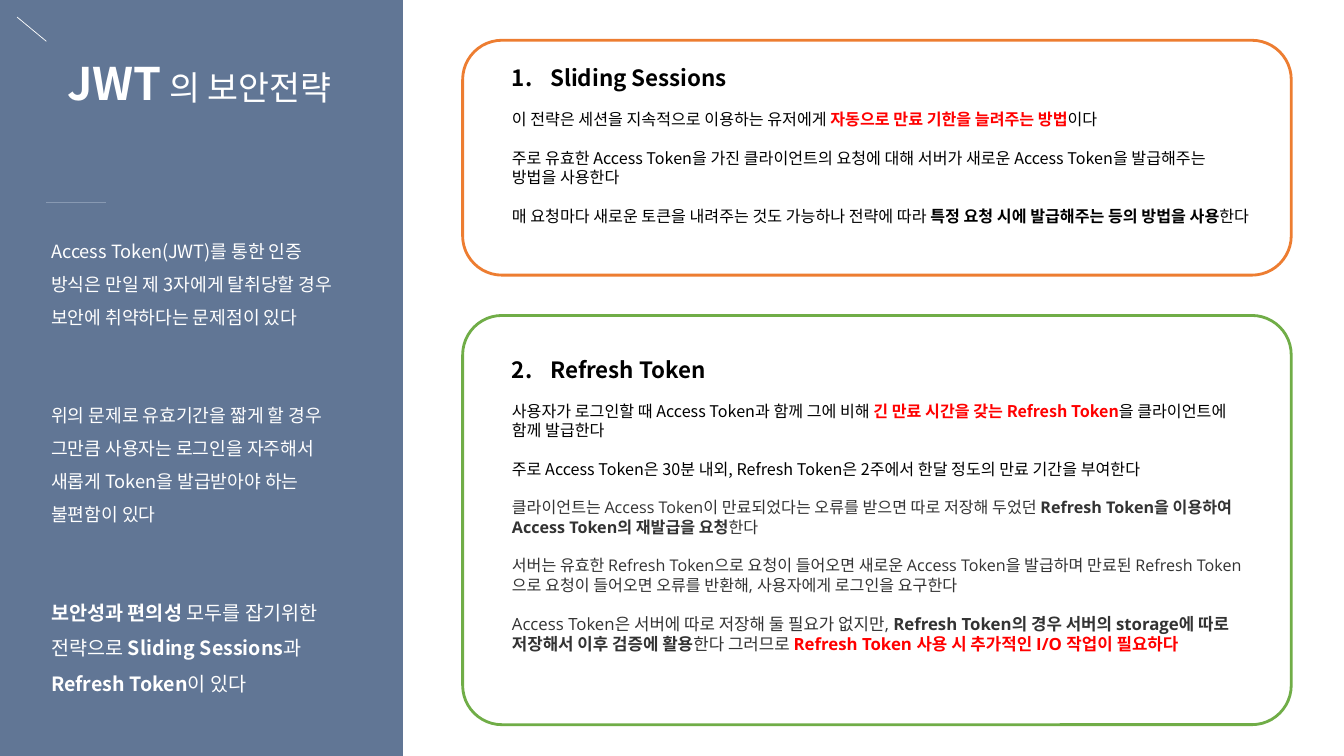
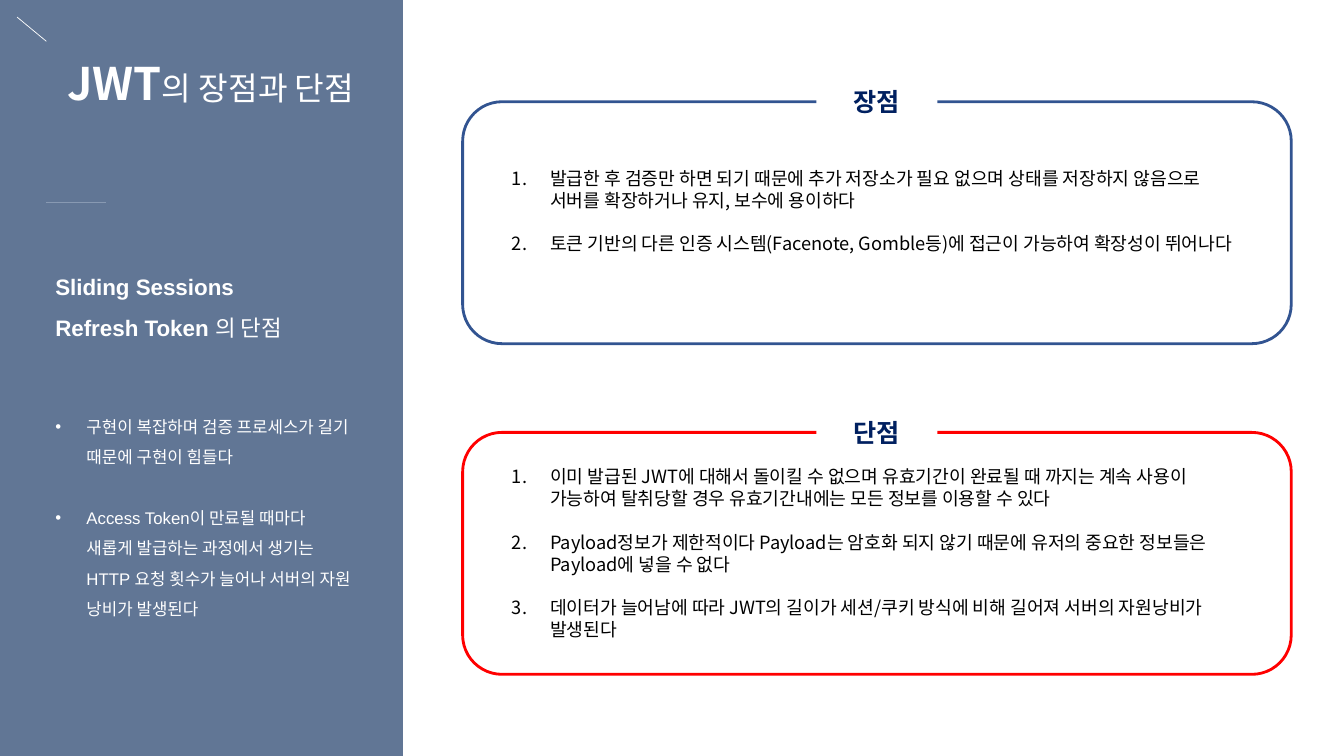
from dataclasses import dataclass, replace

from lxml import etree
from pptx import Presentation
from pptx.dml.color import RGBColor
from pptx.enum.shapes import MSO_CONNECTOR, MSO_SHAPE
from pptx.enum.text import MSO_ANCHOR, PP_ALIGN
from pptx.oxml.ns import qn
from pptx.util import Inches, Pt

RECTANGLE = MSO_SHAPE.RECTANGLE
ROUNDED = MSO_SHAPE.ROUNDED_RECTANGLE
STRAIGHT = MSO_CONNECTOR.STRAIGHT
CENTER = PP_ALIGN.CENTER
MIDDLE = MSO_ANCHOR.MIDDLE

WIDTH, HEIGHT = Inches(13.33), Inches(7.5)
COLUMNS, ROWS = 40, 30
PANEL_LEFT = 12
FRAME_LEFT, FRAME_WIDTH = 13.77, 24.66
BODY_LEFT = 14.94
ASIDE_WIDTH = 9.48
CORNER_ROWS = 1.56
LINE_HEIGHT = 1.2

COLORS = {
    "band": "617695", "rule": "8899B2", "white": "FFFFFF", "black": "000000",
    "gray": "333333", "red": "FF0000", "orange": "ED7D31", "green": "70AD47",
    "blue": "325491", "navy": "002060",
}
KOREAN = "Noto Sans CJK KR"


@dataclass(frozen=True)
class Style:
    size: float
    color: str = "black"
    bold: bool = False
    font: str = KOREAN


@dataclass(frozen=True)
class Line:
    spans: tuple
    gap: float = 0
    bullet: str = ""
    start: int = 1
    indent: float = 0.38
    spacing: float = 1


HEADING = Style(16, bold=True)
BODY = Style(11.5)
BODY_BOLD = replace(BODY, bold=True)
BODY_RED = replace(BODY_BOLD, color="red")
NOTE = replace(BODY, font="Open Sans", color="gray")
NOTE_BOLD = replace(NOTE, bold=True)
LAST = replace(NOTE, size=12)
LAST_BOLD = replace(LAST, bold=True)
LAST_RED = replace(LAST_BOLD, color="red")
ITEM = Style(13)
LABEL = Style(18, "navy", True)
TITLE = Style(32, "white", True)
ASIDE = Style(13, "white")
CLOSING = Style(14, "white")
CLOSING_BOLD = replace(CLOSING, bold=True)
DRAWBACK = Style(16, "white", font="Arial")
DRAWBACK_BOLD = replace(DRAWBACK, bold=True)
DRAWBACK_ITEM = replace(DRAWBACK, size=12)


def across(columns):
    return round(WIDTH * columns / COLUMNS)


def down(rows):
    return round(HEIGHT * rows / ROWS)


def place(left, top, width, height):
    return across(left), down(top), across(width), down(height)


def rgb(name):
    return RGBColor.from_string(COLORS[name])


def format_span(span, style):
    span.font.size = Pt(style.size)
    span.font.bold = style.bold
    span.font.name = style.font
    span.font.color.rgb = rgb(style.color)
    etree.SubElement(span.font._element, qn("a:ea"), typeface=KOREAN)


def add_bullet(para, line):
    properties = para._p.get_or_add_pPr()
    properties.set("marL", str(Inches(line.indent)))
    properties.set("indent", str(-Inches(line.indent)))
    if line.bullet == "number":
        etree.SubElement(properties, qn("a:buFont"), typeface="+mj-lt")
        number = etree.SubElement(properties, qn("a:buAutoNum"), type="arabicPeriod")
        if line.start > 1:
            number.set("startAt", str(line.start))
    else:
        etree.SubElement(properties, qn("a:buFont"), typeface="Arial")
        etree.SubElement(properties, qn("a:buChar"), char=line.bullet)


def write(box, lines):
    frame = box.text_frame
    frame.word_wrap = True
    for index, line in enumerate(lines):
        para = frame.add_paragraph() if index else frame.paragraphs[0]
        largest = max(style.size for _, style in line.spans)
        para.line_spacing = Pt(round(largest * LINE_HEIGHT * line.spacing, 1))
        para.space_before = Pt(line.gap)
        if line.bullet:
            add_bullet(para, line)
        for text, style in line.spans:
            span = para.add_run()
            span.text = text
            format_span(span, style)


def add_text(page, left, top, width, height, lines):
    write(page.shapes.add_textbox(*place(left, top, width, height)), lines)


def add_block(page, left, top, width, height):
    block = page.shapes.add_shape(RECTANGLE, *place(left, top, width, height))
    block.shadow.inherit = False
    block.fill.solid()
    block.fill.fore_color.rgb = rgb("white")
    block.line.fill.background()
    return block


def add_rule(page, left, top, right, bottom, color):
    rule = page.shapes.add_connector(
        STRAIGHT, across(left), down(top), across(right), down(bottom))
    rule.line.color.rgb = rgb(color)
    rule.line.width = Pt(0.5)
    etree.SubElement(rule._element.spPr, qn("a:effectLst"))


def add_frame(page, top, height, color):
    frame = page.shapes.add_shape(
        ROUNDED, *place(FRAME_LEFT, top, FRAME_WIDTH, height))
    frame.shadow.inherit = False
    frame.adjustments[0] = CORNER_ROWS / height
    frame.fill.background()
    frame.line.color.rgb = rgb(color)
    frame.line.width = Pt(2)


def add_label(page, frame_top, text):
    width, height = 3.6, 1.6
    left = FRAME_LEFT + (FRAME_WIDTH - width) / 2
    label = add_block(page, left, frame_top - height / 2, width, height)
    write(label, [Line(((text, LABEL),))])
    label.text_frame.vertical_anchor = MIDDLE
    label.text_frame.paragraphs[0].alignment = CENTER


def add_page(deck, subject, size):
    page = deck.slides.add_slide(deck.slide_layouts[6])
    page.background.fill.solid()
    page.background.fill.fore_color.rgb = rgb("band")
    add_block(page, PANEL_LEFT, 0, COLUMNS - PANEL_LEFT, ROWS)
    add_rule(page, 0.51, 0.68, 1.38, 1.64, "white")
    add_rule(page, 1.38, 8.04, 3.15, 8.04, "rule")
    rest = replace(TITLE, size=size, bold=False)
    add_text(page, 1.71, 2, 9.84, 2.56, [Line((("JWT", TITLE), (subject, rest)))])
    return page


def numbered(items):
    return [Line(((text, ITEM),), gap=15.6 if index else 0, bullet="number")
            for index, text in enumerate(items)]


def add_strategies(deck):
    page = add_page(deck, " 의 보안전략", 24)
    add_text(page, 1.23, 8.92, ASIDE_WIDTH, 18.92, [
        Line((("Access Token(JWT)를 통한 인증 방식은 만일 제 3자에게 탈취당할 경우 "
               "보안에 취약하다는 문제점이 있다", ASIDE),), spacing=1.5),
        Line((("위의 문제로 유효기간을 짧게 할 경우 그만큼 사용자는 로그인을 자주해서 "
               "새롭게 Token을 발급받아야 하는 불편함이 있다", ASIDE),), gap=47, spacing=1.5),
        Line((("보안성과 편의성 ", CLOSING_BOLD), ("모두를 잡기위한 전략으로 ", CLOSING),
              ("Sliding Sessions", CLOSING_BOLD), ("과 ", CLOSING),
              ("Refresh Token", CLOSING_BOLD), ("이 있다", CLOSING)), gap=46, spacing=1.5),
    ])
    add_frame(page, 1.6, 9.32, "orange")
    add_text(page, BODY_LEFT, 2.36, 22.62, 7.64, [
        Line((("Sliding Sessions", HEADING),), bullet="number"),
        Line((("이 전략은 세션을 지속적으로 이용하는 유저에게 ", BODY),
              ("자동으로 만료 기한을 늘려주는 방법", BODY_RED), ("이다", BODY)), gap=13.2),
        Line((("주로 유효한 Access Token을 가진 클라이언트의 요청에 대해 서버가 새로운 "
               "Access Token을 발급해주는 방법을 사용한다", BODY),), gap=13.8),
        Line((("매 요청마다 새로운 토큰을 내려주는 것도 가능하나 전략에 따라 ", BODY),
              ("특정 요청 시에 발급해주는 등의 방법을 사용", BODY_BOLD), ("한다", BODY)), gap=13.8),
    ])
    add_frame(page, 12.52, 16.24, "green")
    add_text(page, BODY_LEFT, 13.92, 22.62, 13.24, [
        Line((("Refresh Token", HEADING),), bullet="number", start=2),
        Line((("사용자가 로그인할 때 Access Token과 함께 그에 비해 ", BODY),
              ("긴 만료 시간을 갖는 Refresh Token", BODY_RED),
              ("을 클라이언트에 함께 발급한다", BODY)), gap=13.2),
        Line((("주로 Access Token은 30분 내외, Refresh Token은 2주에서 한달 정도의 "
               "만료 기간을 부여한다", BODY),), gap=13.8),
        Line((("클라이언트는 Access Token이 만료되었다는 오류를 받으면 따로 저장해 두었던 ", NOTE),
              ("Refresh Token을 이용하여 Access Token의 재발급을 요청", NOTE_BOLD),
              ("한다", NOTE)), gap=13.8),
        Line((("서버는 유효한 Refresh Token으로 요청이 들어오면 새로운 Access Token을 "
               "발급하며 만료된 Refresh Token으로 요청이 들어오면 오류를 반환해, "
               "사용자에게 로그인을 요구한다", NOTE),), gap=13.8),
        Line((("Access Token은 서버에 따로 저장해 둘 필요가 없지만, ", LAST),
              ("Refresh Token의 경우 서버의 storage에 따로 저장해서 이후 검증에 활용", LAST_BOLD),
              ("한다 그러므로 ", LAST),
              ("Refresh Token 사용 시 추가적인 I/O 작업이 필요하다", LAST_RED)), gap=13.8),
    ])


def add_pros_and_cons(deck):
    page = add_page(deck, "의 장점과 단점", 23)
    add_text(page, 1.35, 10.12, ASIDE_WIDTH, 14.6, [
        Line((("Sliding Sessions", DRAWBACK_BOLD),), spacing=1.5),
        Line((("Refresh Token ", DRAWBACK_BOLD), ("의 단점", DRAWBACK)), spacing=1.5),
        Line((("구현이 복잡하며 검증 프로세스가 길기 때문에 구현이 힘들다", DRAWBACK_ITEM),),
             gap=47, bullet="•", indent=0.31, spacing=1.5),
        Line((("Access Token이 만료될 때마다 새롭게 발급하는 과정에서 생기는 HTTP 요청 "
               "횟수가 늘어나 서버의 자원 낭비가 발생된다", DRAWBACK_ITEM),),
             gap=22, bullet="•", indent=0.31, spacing=1.5),
    ])
    sections = [
        ("장점", "blue", 4.04, 6.44, 4.76, [
            "발급한 후 검증만 하면 되기 때문에 추가 저장소가 필요 없으며 상태를 저장하지 "
            "않음으로 서버를 확장하거나 유지, 보수에 용이하다",
            "토큰 기반의 다른 인증 시스템(Facenote, Gomble등)에 접근이 가능하여 확장성이 뛰어나다",
        ]),
        ("단점", "red", 17.16, 18.28, 7.4, [
            "이미 발급된 JWT에 대해서 돌이킬 수 없으며 유효기간이 완료될 때 까지는 계속 사용이 "
            "가능하여 탈취당할 경우 유효기간내에는 모든 정보를 이용할 수 있다",
            "Payload정보가 제한적이다 Payload는 암호화 되지 않기 때문에 유저의 중요한 정보들은 "
            "Payload에 넣을 수 없다",
            "데이터가 늘어남에 따라 JWT의 길이가 세션/쿠키 방식에 비해 길어져 서버의 자원낭비가 "
            "발생된다",
        ]),
    ]
    for label, color, top, text_top, text_height, items in sections:
        add_frame(page, top, 9.6, color)
        add_text(page, BODY_LEFT, text_top, 22.32, text_height, numbered(items))
        add_label(page, top, label)


def main():
    deck = Presentation()
    deck.slide_width, deck.slide_height = WIDTH, HEIGHT
    add_strategies(deck)
    add_pros_and_cons(deck)
    deck.save("out.pptx")


if __name__ == "__main__":
    main()
